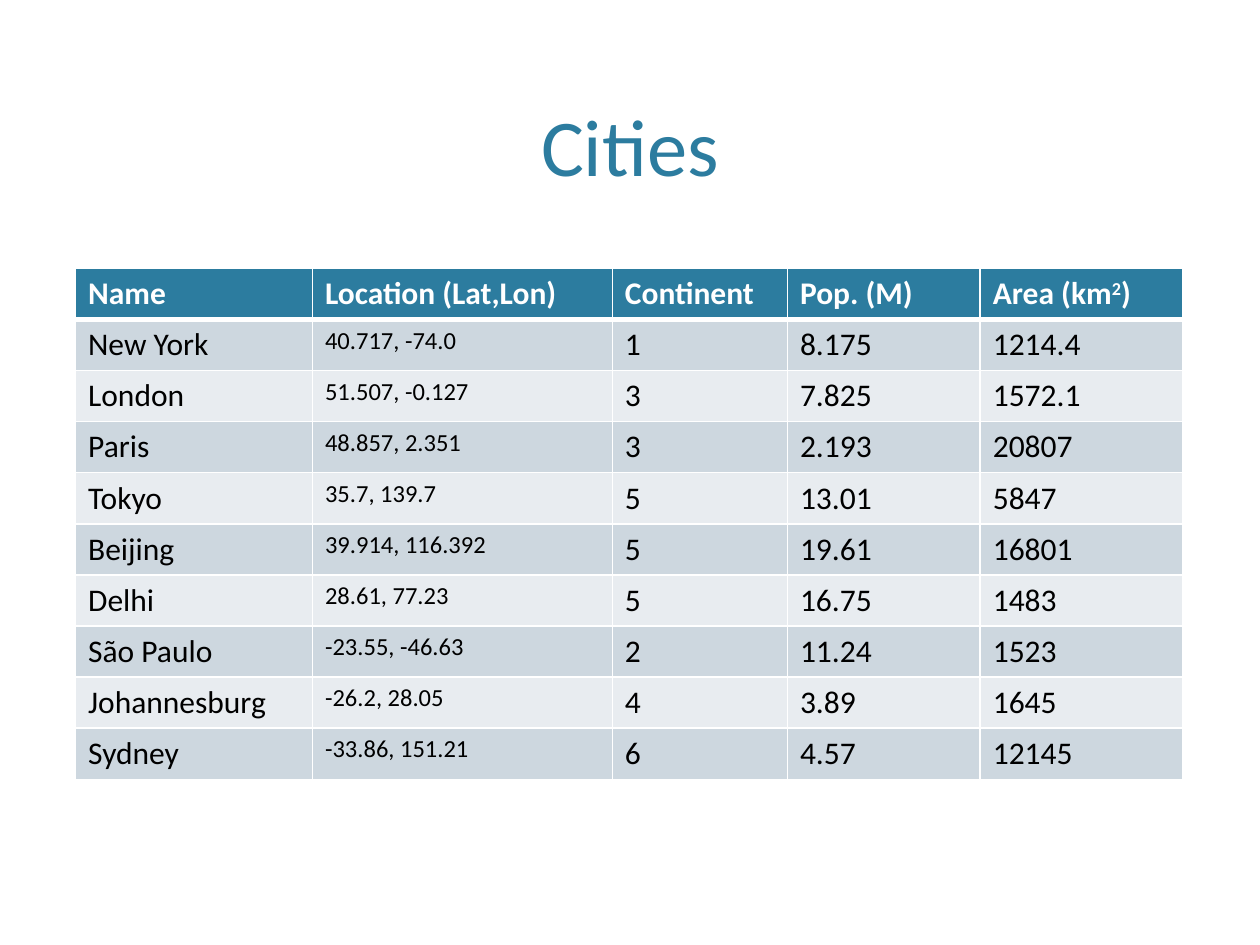
from pptx import Presentation
from pptx import util as u
from pptx.dml.color import RGBColor
from pptx.enum import text
from pptx.oxml import parse_xml
from pptx.oxml.ns import nsdecls

COLORS = {
    "accent": "2C7C9F",
    "band_dark": "CDD7DF",
    "band_light": "E8ECF0",
    "white": "FFFFFF",
    "black": "000000",
}
HEADERS = ["Name", "Location (Lat,Lon)", "Continent", "Pop. (M)", "Area (km^2^)"]
CITIES = [
    ("New York", "40.717, -74.0", "1", "8.175", "1214.4"),
    ("London", "51.507, -0.127", "3", "7.825", "1572.1"),
    ("Paris", "48.857, 2.351", "3", "2.193", "20807"),
    ("Tokyo", "35.7, 139.7", "5", "13.01", "5847"),
    ("Beijing", "39.914, 116.392", "5", "19.61", "16801"),
    ("Delhi", "28.61, 77.23", "5", "16.75", "1483"),
    ("São Paulo", "-23.55, -46.63", "2", "11.24", "1523"),
    ("Johannesburg", "-26.2, 28.05", "4", "3.89", "1645"),
    ("Sydney", "-33.86, 151.21", "6", "4.57", "12145"),
]
COLUMN_WIDTHS = [1.88, 2.38, 1.39, 1.53, 1.61]
ROW_HEIGHT = 0.405
LOCATION_COLUMN = 1


class SlideBuilder:
    """Holds the style and the current slide."""

    font = "Calibri"
    title_size, body_size, location_size = 46, 18, 14

    def __init__(self, slide):
        self.slide = slide

    def add_run(self, paragraph, content, size, color, bold=False):
        run = paragraph.add_run()
        run.text = content
        run.font.name = self.font
        run.font.size = u.Pt(size)
        run.font.bold = bold
        run.font.color.rgb = RGBColor.from_string(COLORS[color])
        return run

    def title(self, content, left, top, width, height):
        shape = self.slide.shapes.title
        shape.left, shape.top = u.Inches(left), u.Inches(top)
        shape.width, shape.height = u.Inches(width), u.Inches(height)
        frame = shape.text_frame
        frame.auto_size = text.MSO_AUTO_SIZE.NONE
        frame.vertical_anchor = text.MSO_ANCHOR.BOTTOM
        paragraph = frame.paragraphs[0]
        paragraph.alignment = text.PP_ALIGN.CENTER
        self.add_run(paragraph, content, self.title_size, "accent")

    def borders(self, cell, widths):
        """Draw white borders; widths gives points for left, right, top, bottom."""
        properties = cell._tc.get_or_add_tcPr()
        for index, (side, width) in enumerate(zip("LRTB", widths)):
            properties.insert(index, parse_xml(
                f'<a:ln{side} {nsdecls("a")} w="{u.Pt(width)}"><a:solidFill>'
                f'<a:srgbClr val="{COLORS["white"]}"/></a:solidFill></a:ln{side}>'))

    def cell(self, cell, content, fill, size, color, bold, widths):
        """Fill one cell; text between carets is set as superscript."""
        cell.fill.solid()
        cell.fill.fore_color.rgb = RGBColor.from_string(COLORS[fill])
        paragraph = cell.text_frame.paragraphs[0]
        for index, part in enumerate(content.split("^")):
            run = self.add_run(paragraph, part, size, color, bold)
            if index % 2:
                run.font._element.set("baseline", "30000")
        self.borders(cell, widths)

    def table(self, rows, left, top):
        table = self.slide.shapes.add_table(
            len(rows), len(COLUMN_WIDTHS), u.Inches(left), u.Inches(top),
            u.Inches(sum(COLUMN_WIDTHS)), u.Inches(ROW_HEIGHT * len(rows))).table
        for column, width in zip(table.columns, COLUMN_WIDTHS):
            column.width = u.Inches(width)
        for r, values in enumerate(rows):
            table.rows[r].height = u.Inches(ROW_HEIGHT)
            header = r == 0
            band = "band_dark" if r % 2 else "band_light"
            widths = (1, 1, 3 if r == 1 else 1, 3 if header else 1)
            for c, value in enumerate(values):
                small = c == LOCATION_COLUMN and not header
                self.cell(table.cell(r, c), value,
                          "accent" if header else band,
                          self.location_size if small else self.body_size,
                          "white" if header else "black", header, widths)


def main():
    presentation = Presentation()
    presentation.slide_width = u.Inches(10)
    presentation.slide_height = u.Inches(7.5)
    title_only = presentation.slide_layouts[5]
    builder = SlideBuilder(presentation.slides.add_slide(title_only))
    builder.title("Cities", 0.6, 0.12, 8.8, 1.46)
    builder.table([HEADERS, *CITIES], 0.6, 2.13)
    presentation.save("out.pptx")


if __name__ == "__main__":
    main()
